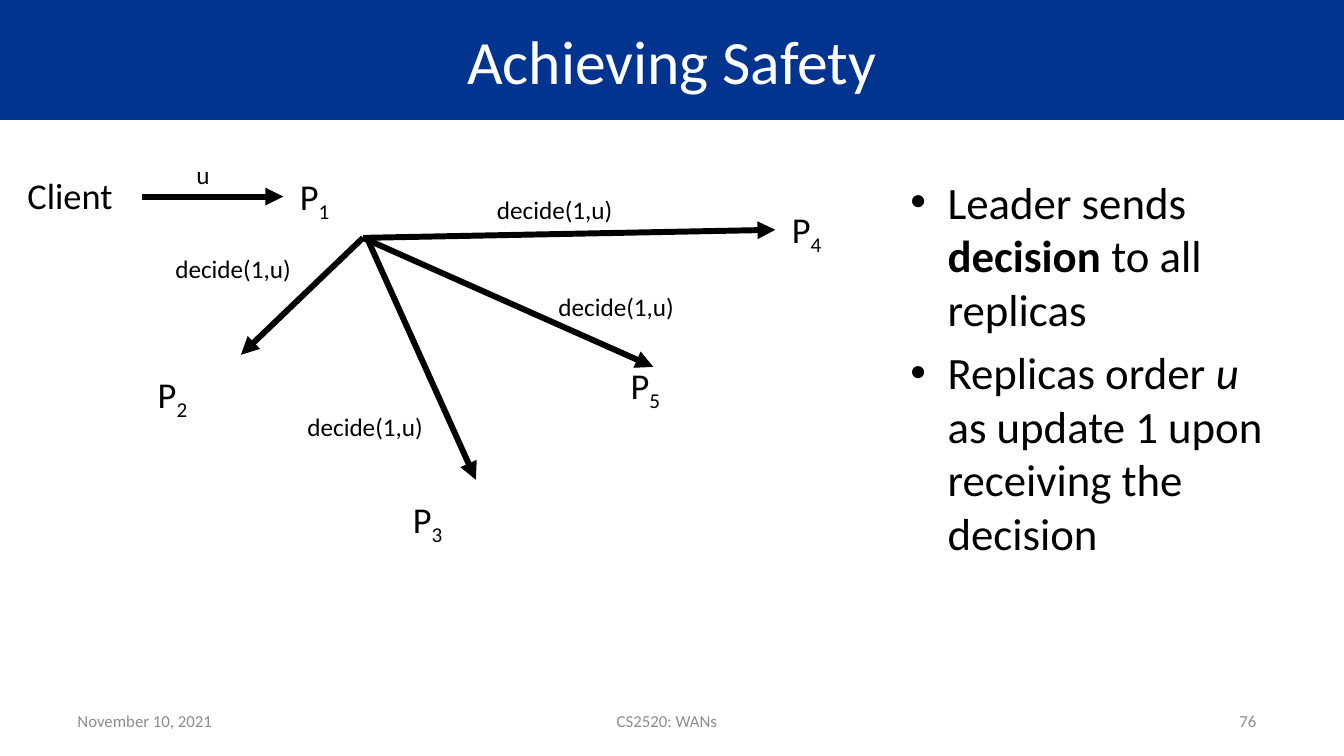
import pptx
import pptx.dml.color
import pptx.enum.shapes
import pptx.enum.text
import pptx.oxml.ns
import pptx.util
from lxml import etree

PX = 9144  # EMU per px, 100 px to the inch
FONT = "Calibri"
BLACK, WHITE, BLUE, GREY = "000000", "FFFFFF", "00348F", "8C8C8C"
ALIGN = pptx.enum.text.PP_ALIGN
ANCHOR = pptx.enum.text.MSO_ANCHOR
NODE_W, NODE_H = 62, 54
LABEL_H = 40


def px(length):
    return pptx.util.Emu(length * PX)


def color(hex_string):
    return pptx.dml.color.RGBColor.from_string(hex_string)


def sub(parent, tag, **attributes):
    return etree.SubElement(parent, pptx.oxml.ns.qn(tag), attributes)


def add_bullet(paragraph, indent):
    properties = paragraph._p.get_or_add_pPr()
    properties.set("marL", str(px(indent)))
    properties.set("indent", str(px(-indent)))
    sub(properties, "a:buFont", typeface="Arial")
    sub(properties, "a:buChar", char="•")


def write(frame, paragraphs, size, ink=BLACK, align=ALIGN.LEFT, anchor=ANCHOR.TOP,
          bullet_indent=0, space_before=0):
    """Each paragraph is a list of (text, style); style is "", "bold", "italic" or "sub"."""
    frame.word_wrap = True
    frame.vertical_anchor = anchor
    for index, runs in enumerate(paragraphs):
        paragraph = frame.add_paragraph() if index else frame.paragraphs[0]
        if bullet_indent:
            add_bullet(paragraph, bullet_indent)
        paragraph.alignment = align
        if index:
            paragraph.space_before = pptx.util.Pt(space_before)
        for text, style in runs:
            run = paragraph.add_run()
            run.text = text
            run.font.name = FONT
            run.font.size = pptx.util.Pt(size)
            run.font.color.rgb = color(ink)
            run.font.bold = style == "bold"
            run.font.italic = style == "italic"
            if style == "sub":
                run._r.get_or_add_rPr().set("baseline", "-25000")


def add_text(slide, box, paragraphs, **text_format):
    text_box = slide.shapes.add_textbox(*map(px, box))
    write(text_box.text_frame, paragraphs, **text_format)
    return text_box


def add_arrow(slide, start, end, target=None, site=1):
    arrow = slide.shapes.add_connector(
        pptx.enum.shapes.MSO_CONNECTOR.STRAIGHT, *map(px, start + end))
    if target is not None:
        arrow.end_connect(target, site)
    arrow.line.color.rgb = color(BLACK)
    arrow.line.width = pptx.util.Pt(4.25)
    sub(arrow.line._get_or_add_ln(), "a:tailEnd", type="triangle")
    sub(arrow._element.spPr, "a:effectLst")


def add_title(slide, box):
    banner = slide.shapes.add_shape(
        pptx.enum.shapes.MSO_SHAPE.RECTANGLE, *map(px, box))
    banner.shadow.inherit = False
    banner.fill.solid()
    banner.fill.fore_color.rgb = color(BLUE)
    banner.line.fill.background()
    write(banner.text_frame, [[("Achieving Safety", "")]], size=44, ink=WHITE,
          align=ALIGN.CENTER, anchor=ANCHOR.MIDDLE)


def add_explanation(slide, box):
    points = [
        [("Leader sends ", ""), ("decision", "bold"), (" to all replicas", "")],
        [("Replicas order ", ""), ("u", "italic"),
         (" as update 1 upon receiving the decision", "")],
    ]
    add_text(slide, box, points, size=32, bullet_indent=37, space_before=6.4)


def add_message_diagram(slide, box):
    left, top = box[:2]

    def at(x, y):
        return left + x, top + y

    # Replicas P1 to P5
    corners = [(265, 15), (124, 211), (377, 335), (753, 48), (593, 202)]
    replicas = [
        add_text(slide, (*at(*corner), NODE_W, NODE_H),
                 [[("P", ""), (str(number), "sub")]], size=26, align=ALIGN.CENTER)
        for number, corner in enumerate(corners, 1)
    ]
    leader, replica_4 = replicas[0], replicas[3]

    # Client and its update
    add_text(slide, (*at(0, 14), 107, NODE_H), [[("Client", "")]], size=26,
             align=ALIGN.CENTER)
    add_arrow(slide, at(125, 42), at(265, 42), leader)
    add_text(slide, (*at(169, 0), 131, LABEL_H), [[("u", "")]], size=18)

    # Decisions fanning out: start, end, joined replica, label corner
    hub = (344, 83)
    decisions = [
        (hub, (223, 199), None, (148, 93)),
        ((348, 83), (456, 323), None, (279, 250)),
        (hub, (632, 211), None, (528, 131)),
        (hub, (753, 75), replica_4, (467, 35)),
    ]
    for start, end, target, label_corner in decisions:
        add_arrow(slide, at(*start), at(*end), target)
        add_text(slide, (*at(*label_corner), 191, LABEL_H),
                 [[("decide(1,u)", "")]], size=18)


def add_footer(slide, box):
    left, top, width, height = box
    parts = [
        ("November 10, 2021", 0, 164, ALIGN.LEFT),
        ("CS2520: WANs", 138, 913, ALIGN.CENTER),
        ("76", width - 139, 139, ALIGN.RIGHT),
    ]
    for text, offset, part_width, align in parts:
        add_text(slide, (left + offset, top, part_width, height), [[(text, "")]],
                 size=12, ink=GREY, align=align, anchor=ANCHOR.MIDDLE)


def main():
    deck = pptx.Presentation()
    deck.slide_width, deck.slide_height = px(1333), px(750)
    slide = deck.slides.add_slide(deck.slide_layouts[6])
    add_title(slide, (0, 0, 1333, 119))
    add_explanation(slide, (893, 168, 374, 502))
    add_message_diagram(slide, (16, 153, 815, 389))
    add_footer(slide, (67, 695, 1189, 40))
    deck.save("out.pptx")


if __name__ == "__main__":
    main()
